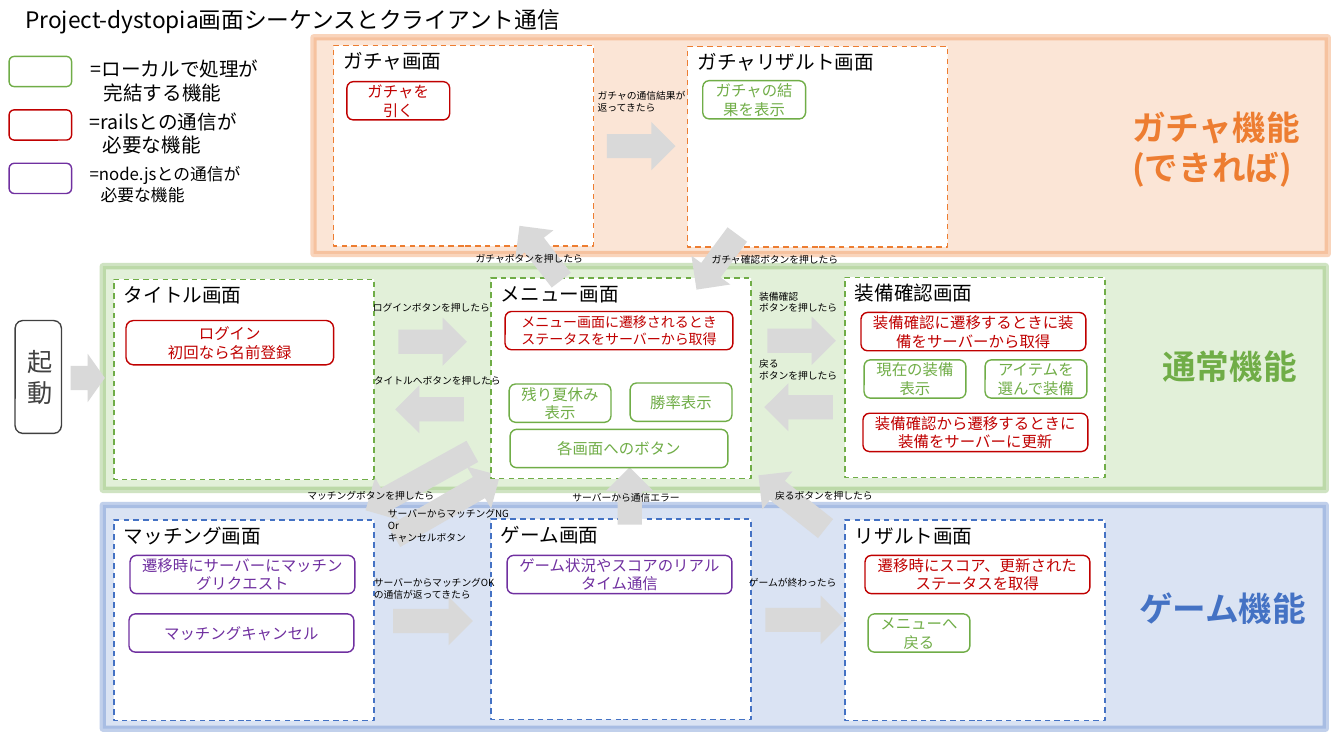
from dataclasses import dataclass
from typing import NamedTuple

from lxml import etree
from pptx import Presentation
from pptx import util as u
from pptx.dml.color import RGBColor
from pptx.enum import dml, shapes, text
from pptx.oxml.ns import qn


@dataclass(frozen=True)
class Theme:
    font: str = "Noto Sans CJK JP"
    ink: str = "000000"
    gray: str = "404040"
    arrow: str = "D9D9D9"
    white: str = "FFFFFF"
    green: str = "70AD47"
    red: str = "C00000"
    purple: str = "7030A0"
    orange: str = "ED7D31"
    blue: str = "4472C4"
    title_pt: float = 16.2
    band_pt: float = 24
    start_pt: float = 18
    screen_pt: float = 14
    box_pt: float = 11
    note_pt: float = 7


T = Theme()
RECT = shapes.MSO_SHAPE.RECTANGLE
ROUND = shapes.MSO_SHAPE.ROUNDED_RECTANGLE
ARROW = shapes.MSO_SHAPE.RIGHT_ARROW
TILE_W, TILE_H = 2.58, 1.99
WIDE, NARROW, BOX_H = 2.23, 1.01, 0.38


class Band(NamedTuple):
    x: float
    y: float
    w: float
    h: float
    fill: str
    color: str
    name: str
    name_x: float
    name_y: float
    name_w: float


class Screen(NamedTuple):
    x: float
    y: float
    color: str
    name: str


class Arrow(NamedTuple):
    x: float
    y: float
    w: float = 0.68
    angle: float = 0


class Box(NamedTuple):
    x: float
    y: float
    w: float
    color: str
    text: str
    h: float = BOX_H
    size: float = T.box_pt


class Note(NamedTuple):
    x: float
    y: float
    text: str
    w: float | None = None


class Key(NamedTuple):
    y: float
    color: str
    text: str
    text_x: float
    text_y: float
    w: float
    size: float
    indent: float


BANDS = [
    Band(1.02, 5.01, 12.13, 2.22, "DAE3F3", T.blue, "ゲーム機能", 11.2, 5.78, 1.88),
    Band(1.02, 2.64, 12.13, 2.22, "E2F0D9", T.green, "通常機能", 11.43, 3.38, 1.55),
    Band(3.11, 0.37, 10.06, 2.15, "FBE5D6", T.orange, "ガチャ機能\n(できれば)", 11.13, 1.01, 1.88),
]
SCREENS = [
    Screen(1.13, 2.77, T.green, "タイトル画面"),
    Screen(4.87, 2.76, T.green, "メニュー画面"),
    Screen(8.38, 2.75, T.green, "装備確認画面"),
    Screen(1.13, 5.16, T.blue, "マッチング画面"),
    Screen(4.87, 5.15, T.blue, "ゲーム画面"),
    Screen(8.38, 5.16, T.blue, "リザルト画面"),
    Screen(3.31, 0.45, T.orange, "ガチャ画面"),
    Screen(6.82, 0.46, T.orange, "ガチャリザルト画面"),
]
MATCHING_ARROW = Arrow(3.83, 4.78, 1.21, 330)
ARROWS = [
    Arrow(0.7, 3.51, 0.34), Arrow(3.95, 3.15), Arrow(3.92, 3.82, angle=180),
    Arrow(5.02, 2.27, angle=232.4), Arrow(6.02, 1.21), Arrow(6.77, 2.36, angle=126.5),
    Arrow(3.55, 4.53, 1.21, 151.1), Arrow(3.9, 5.92, 0.79), Arrow(7.59, 5.91, 0.79),
    Arrow(7.43, 4.74, 0.85, 218.4), Arrow(5.96, 4.68, 0.57, 270),
    Arrow(7.61, 3.14), Arrow(7.58, 3.8, angle=180),
]
BOXES = [
    Box(0.15, 3.18, 0.46, T.gray, "起動", 1.12, T.start_pt),
    Box(1.25, 3.18, 2.06, T.red, "ログイン\n初回なら名前登録", 0.44),
    Box(5.01, 3.09, 2.26, T.red, "メニュー画面に遷移されるときステータスをサーバーから取得", size=10),
    Box(5.05, 3.81, NARROW, T.green, "残り夏休み表示"),
    Box(6.25, 3.8, NARROW, T.green, "勝率表示"),
    Box(5.06, 4.26, 2.16, T.green, "各画面へのボタン"),
    Box(8.54, 3.1, WIDE, T.red, "装備確認に遷移するときに装備をサーバーから取得"),
    Box(8.57, 3.57, NARROW, T.green, "現在の装備表示"),
    Box(9.77, 3.57, NARROW, T.green, "アイテムを選んで装備"),
    Box(8.56, 4.1, WIDE, T.red, "装備確認から遷移するときに装備をサーバーに更新"),
    Box(3.44, 0.81, 1.02, T.red, "ガチャを\n引く"),
    Box(6.97, 0.8, 1.02, T.green, "ガチャの結果を表示"),
    Box(1.29, 5.51, WIDE, T.purple, "遷移時にサーバーにマッチングリクエスト"),
    Box(1.28, 6.09, WIDE, T.purple, "マッチングキャンセル"),
    Box(5.03, 5.51, WIDE, T.purple, "ゲーム状況やスコアのリアルタイム通信"),
    Box(8.58, 5.51, WIDE, T.red, "遷移時にスコア、更新されたステータスを取得"),
    Box(8.61, 6.09, NARROW, T.green, "メニューへ戻る"),
]
NOTES = [
    Note(3.6, 2.94, "ログインボタンを押したら"),
    Note(3.61, 3.67, "タイトルへボタンを押したら"),
    Note(4.62, 2.46, "ガチャボタンを押したら"),
    Note(5.83, 0.84, "ガチャの通信結果が\n返ってきたら"),
    Note(6.96, 2.47, "ガチャ確認ボタンを押したら"),
    Note(7.43, 2.83, "装備確認\nボタンを押したら"),
    Note(7.43, 3.5, "戻る\nボタンを押したら"),
    Note(2.95, 4.81, "マッチングボタンを押したら"),
    Note(3.61, 5.67, "サーバーからマッチングOK\nの通信が返ってきたら", 1.42),
    Note(3.75, 4.99, "サーバーからマッチングNG\nOr\nキャンセルボタン", 1.43),
    Note(5.58, 4.83, "サーバーから通信エラー"),
    Note(7.33, 5.67, "ゲームが終わったら"),
    Note(7.59, 4.81, "戻るボタンを押したら"),
]
KEYS = [
    Key(0.56, T.green, "=ローカルで処理が\n完結する機能", 0.8, 0.52, 2.05, 14, 0.13),
    Key(1.09, T.red, "=railsとの通信が\n必要な機能", 0.79, 1.04, 1.75, 14, 0.13),
    Key(1.62, T.purple, "=node.jsとの通信が\n必要な機能", 0.79, 1.58, 1.73, 12, 0.11),
]


def write(sp, words: str, *, size: float, color: str = T.ink, bold: bool = False,
          align=text.PP_ALIGN.LEFT, spacing: float | None = None, indent: float = 0) -> None:
    """Fill a shape with one paragraph per line; indent applies after the first."""
    tf = sp.text_frame
    for i, line in enumerate(words.split("\n")):
        p = tf.add_paragraph() if i else tf.paragraphs[0]
        p.alignment, p.line_spacing = align, spacing
        if i and indent:
            p._p.get_or_add_pPr().set("marL", str(u.Inches(indent)))
        r = p.add_run()
        r.text = line
        r.font.name, r.font.size, r.font.bold = T.font, u.Pt(size), bold
        r.font.color.rgb = RGBColor.from_string(color)
        etree.SubElement(r._r.get_or_add_rPr(), qn("a:ea")).set("typeface", T.font)


def add_shape(s, kind, x: float, y: float, w: float, h: float, fill: str,
              line: str | None = None, weight: float = 1):
    sp = s.shapes.add_shape(kind, *map(u.Inches, (x, y, w, h)))
    sp.shadow.inherit = False
    sp.fill.solid()
    sp.fill.fore_color.rgb = RGBColor.from_string(fill)
    if line:
        sp.line.color.rgb = RGBColor.from_string(line)
        sp.line.width = u.Pt(weight)
    else:
        sp.line.fill.background()
    return sp


def add_label(s, x: float, y: float, words: str, size: float, w: float | None = None, **fmt) -> None:
    lines = words.split("\n")
    w = w or max(map(len, lines)) * size * 1.013 / 72 + 0.2
    h = len(lines) * size * 1.2 / 72 + 0.1
    sp = s.shapes.add_textbox(*map(u.Inches, (x, y, w, h)))
    sp.text_frame.word_wrap = False
    sp.text_frame.auto_size = text.MSO_AUTO_SIZE.SHAPE_TO_FIT_TEXT
    write(sp, words, size=size, **fmt)


def add_band(s, b: Band) -> None:
    sp = add_shape(s, RECT, b.x, b.y, b.w, b.h, b.fill, b.color, 4.5)
    clr = sp.line._ln.find(".//" + qn("a:srgbClr"))
    etree.SubElement(clr, qn("a:alpha")).set("val", "33000")


def add_screen(s, sc: Screen) -> None:
    sp = add_shape(s, RECT, sc.x, sc.y, TILE_W, TILE_H, T.white, sc.color)
    sp.line.dash_style = dml.MSO_LINE.DASH
    add_label(s, sc.x, sc.y - 0.01, sc.name, T.screen_pt)


def add_arrow(s, a: Arrow) -> None:
    add_shape(s, ARROW, a.x, a.y, a.w, 0.48, T.arrow).rotation = a.angle


def add_box(s, b: Box) -> None:
    sp = add_shape(s, ROUND, b.x, b.y, b.w, b.h, T.white, b.color)
    write(sp, b.text, size=b.size, color=b.color, align=text.PP_ALIGN.CENTER)


prs = Presentation()
prs.slide_width, prs.slide_height = u.Inches(13.33), u.Inches(7.5)
s = prs.slides.add_slide(prs.slide_layouts[5])

# Title
title = s.shapes.title
title.left, title.top, title.width, title.height = map(u.Inches, (0.15, 0.04, 11.5, 0.33))
title.text_frame.vertical_anchor = text.MSO_ANCHOR.MIDDLE
title.text_frame.auto_size = text.MSO_AUTO_SIZE.NONE
write(title, "Project-dystopia画面シーケンスとクライアント通信", size=T.title_pt, spacing=0.9)

# Bands, with the matching arrow running behind the screens
for band in BANDS:
    add_band(s, band)
add_arrow(s, MATCHING_ARROW)

# Screens, transitions and functions
for screen in SCREENS:
    add_screen(s, screen)
for arrow in ARROWS:
    add_arrow(s, arrow)
for box in BOXES:
    add_box(s, box)
for note in NOTES:
    add_label(s, note.x, note.y, note.text, T.note_pt, note.w)
for b in BANDS:
    add_label(s, b.name_x, b.name_y, b.name, T.band_pt, b.name_w, color=b.color, bold=True)

# Legend
for k in KEYS:
    add_shape(s, ROUND, 0.09, k.y, 0.62, 0.3, T.white, k.color)
    add_label(s, k.text_x, k.text_y, k.text, k.size, k.w, indent=k.indent)

prs.save("out.pptx")
